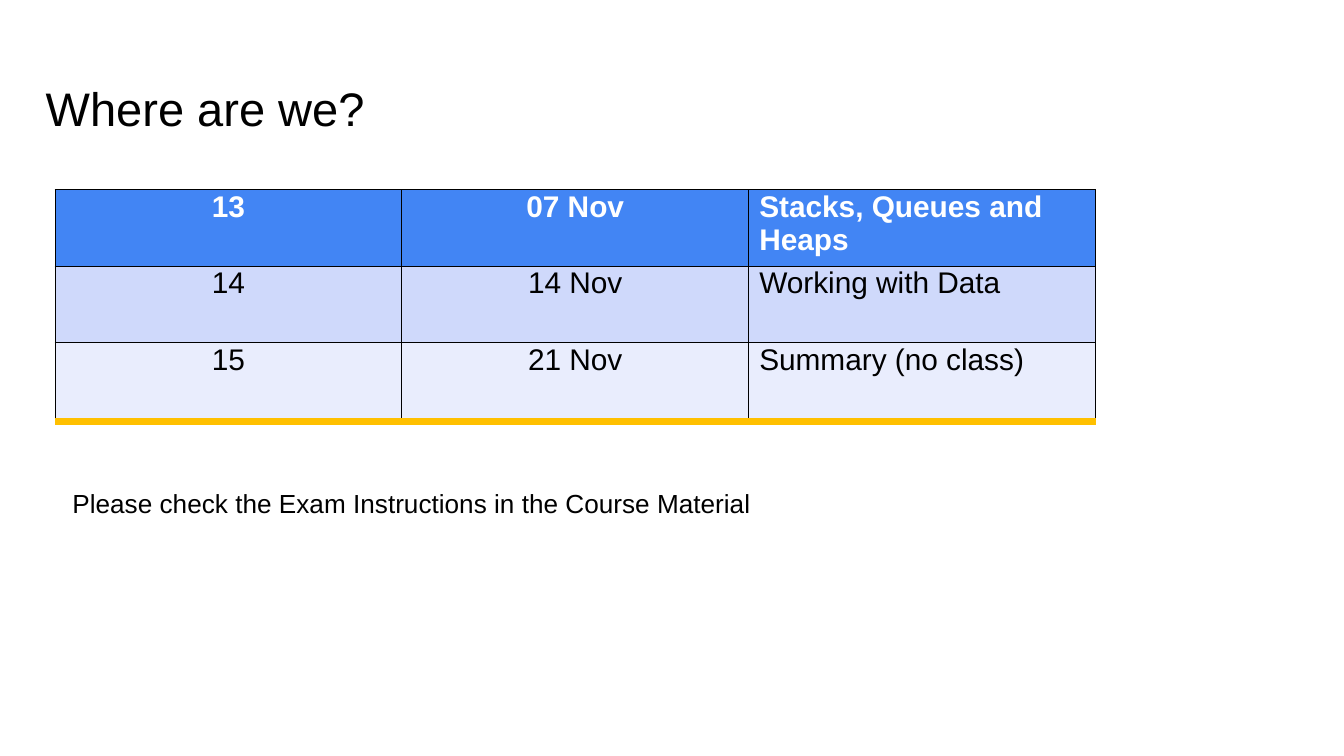
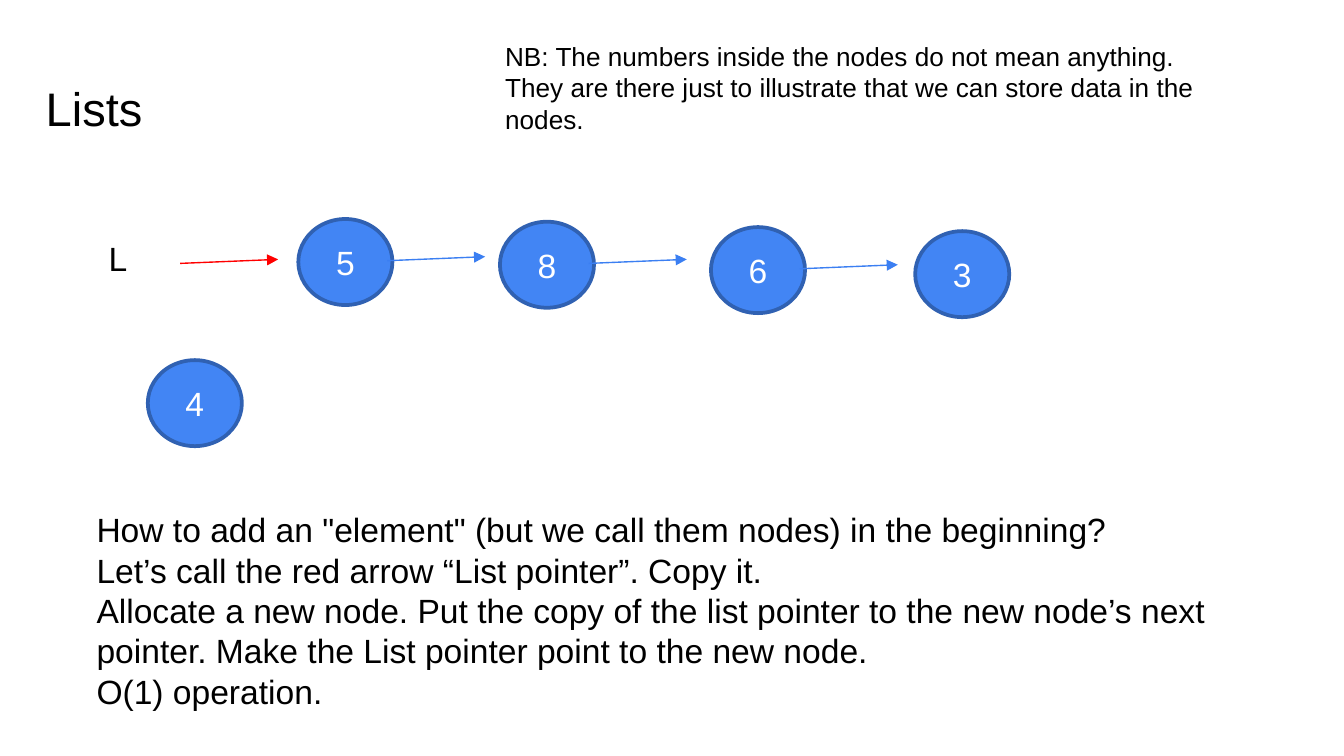
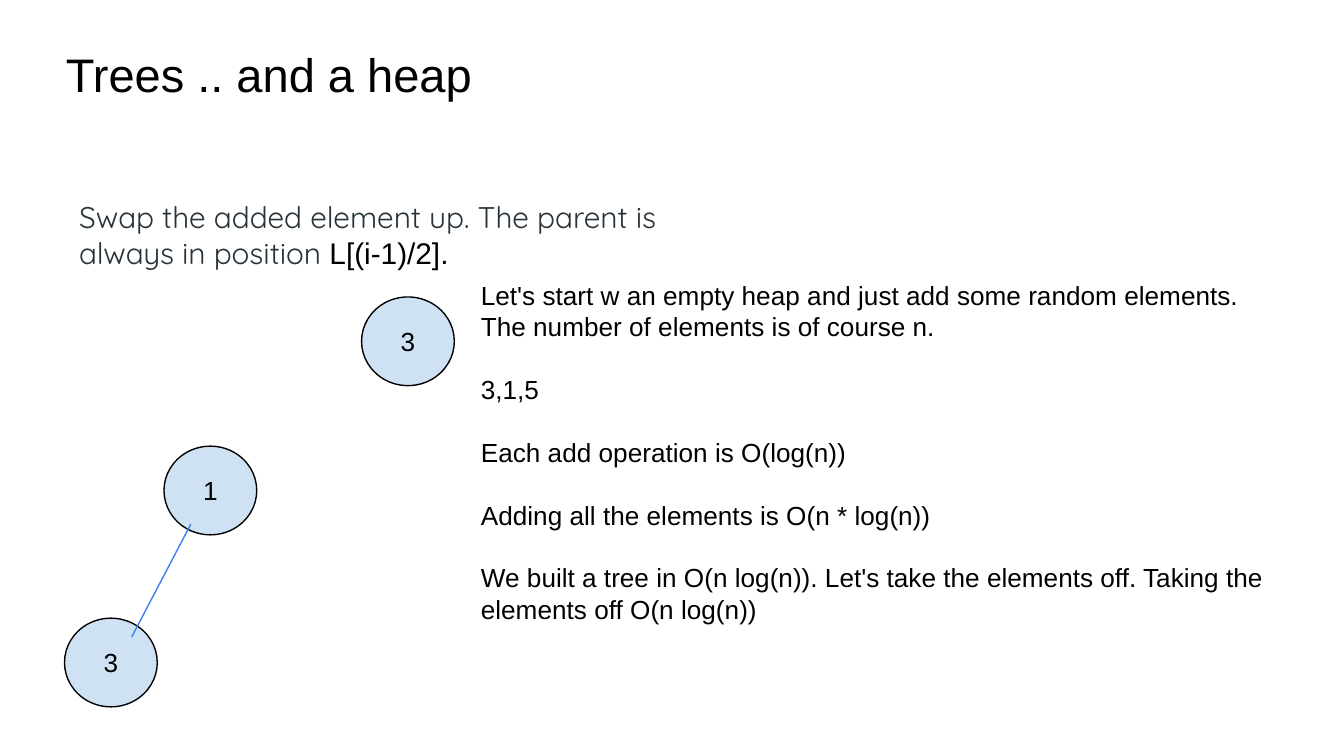
from dataclasses import dataclass

from lxml import etree
from pptx import Presentation
from pptx import util as u
from pptx.dml.color import RGBColor
from pptx.enum import shapes, text
from pptx.oxml import ns


@dataclass(frozen=True)
class Theme:
    font: str = "Arial"
    accent_font: str = "Quicksand"
    black: str = "000000"
    white: str = "FFFFFF"
    slate: str = "273239"
    blue: str = "4285F4"
    dark_blue: str = "3061B2"
    link_blue: str = "3B7FF2"
    pale_blue: str = "CFE2F3"
    red: str = "FF0000"
    gold: str = "FFC000"
    bands: tuple = ("4285F4", "CFD9FB", "E9EDFD")
    title: float = 25.2
    body: float = 18
    cell: float = 16
    note: float = 14
    leading: float = 1.2
    cell_leading: float = 1.1
    thin: float = 0.75


THEME = Theme()
LIST_NODE = dict(size=(0.7, 0.64), fill=THEME.blue, line=THEME.dark_blue,
                 weight=2, points=THEME.body, color=THEME.white)
HEAP_NODE = dict(size=(0.69, 0.66), fill=THEME.pale_blue, line=THEME.black,
                 weight=THEME.thin, points=THEME.note, color=THEME.black)


def rgb(code):
    return RGBColor.from_string(code)


def apply(target, values):
    for name, value in values.items():
        setattr(target, name, value)


class Deck:
    def __init__(self, theme):
        self.theme = theme
        self.deck = Presentation()
        apply(self.deck, dict(slide_width=u.Inches(10), slide_height=u.Inches(5.625)))
        self.page = None

    def add_page(self, title, left=0.34, top=0.49):
        self.page = self.deck.slides.add_slide(self.deck.slide_layouts[6])
        self.text((left, top, 9.32, 0.63), [title], self.theme.title, inset=(0, 0.1))

    def span(self, para, words, points, color=None, font=None, bold=False):
        span = para.add_run()
        span.text = words
        apply(span.font, dict(name=font or self.theme.font, size=u.Pt(points), bold=bold))
        span.font.color.rgb = rgb(color or self.theme.black)

    def text(self, place, paragraphs, points, inset=(0.1, 0.05), gap=0):
        """Add a text box; a paragraph is a string or a list of (words, format) pairs."""
        frame = self.page.shapes.add_textbox(*map(u.Inches, place)).text_frame
        side, edge = map(u.Inches, inset)
        apply(frame, dict(word_wrap=True, margin_left=side, margin_right=side,
                          margin_top=edge, margin_bottom=edge))
        for index, content in enumerate(paragraphs):
            para = frame.add_paragraph() if index else frame.paragraphs[0]
            apply(para, dict(line_spacing=u.Pt(points * self.theme.leading),
                             space_before=u.Pt(gap if index else 0)))
            spans = [(content, {})] if isinstance(content, str) else content
            for words, values in spans:
                self.span(para, words, points, **values)

    def node(self, label, left, top, style):
        place = map(u.Inches, (left, top, *style["size"]))
        node = self.page.shapes.add_shape(shapes.MSO_SHAPE.OVAL, *place)
        node.shadow.inherit = False
        node.fill.solid()
        node.fill.fore_color.rgb = rgb(style["fill"])
        node.line.color.rgb = rgb(style["line"])
        node.line.width = u.Pt(style["weight"])
        frame = node.text_frame
        frame.vertical_anchor = text.MSO_ANCHOR.MIDDLE
        para = frame.paragraphs[0]
        para.alignment = text.PP_ALIGN.CENTER
        self.span(para, label, style["points"], style["color"])

    def line(self, start, end, color, arrow=False):
        ends = map(u.Inches, (*start, *end))
        line = self.page.shapes.add_connector(shapes.MSO_CONNECTOR.STRAIGHT, *ends)
        line.line.color.rgb = rgb(color)
        line.line.width = u.Pt(self.theme.thin)
        if arrow:
            etree.SubElement(line.line._get_or_add_ln(), ns.qn("a:tailEnd"), type="triangle")
        etree.SubElement(line._element.spPr, ns.qn("a:effectLst"))

    def pointer(self, left, top, color):
        self.line((left, top), (left + 0.73, top - 0.03), color, arrow=True)

    def borders(self, cell, bottom):
        """Draw thin black borders, with the bottom one as a (colour, points) pair."""
        thin = (self.theme.black, 0.5)
        sides = dict(lnL=thin, lnR=thin, lnT=thin, lnB=bottom)
        properties = cell._tc.get_or_add_tcPr()
        for index, (side, (color, points)) in enumerate(sides.items()):
            border = etree.Element(ns.qn(f"a:{side}"), w=str(u.Pt(points)))
            fill = etree.SubElement(border, ns.qn("a:solidFill"))
            etree.SubElement(fill, ns.qn("a:srgbClr"), val=color)
            properties.insert(index, border)

    def table(self, left, top, column_width, heights, rows):
        columns = len(rows[0])
        place = map(u.Inches, (left, top, column_width * columns, sum(heights)))
        table = self.page.shapes.add_table(len(rows), columns, *place).table
        margins = dict(margin_left=u.Inches(0.08), margin_right=u.Inches(0.08),
                       margin_top=u.Inches(0.01), margin_bottom=u.Inches(0.05))
        for r, (height, row) in enumerate(zip(heights, rows)):
            table.rows[r].height = u.Inches(height)
            header, last = r == 0, r == len(rows) - 1
            for c, words in enumerate(row):
                cell = table.cell(r, c)
                apply(cell, margins)
                cell.fill.solid()
                cell.fill.fore_color.rgb = rgb(self.theme.bands[r])
                self.borders(cell, (self.theme.gold, 4.13) if last else (self.theme.black, 0.5))
                para = cell.text_frame.paragraphs[0]
                centred = c < columns - 1
                apply(para, dict(
                    alignment=text.PP_ALIGN.CENTER if centred else text.PP_ALIGN.LEFT,
                    line_spacing=u.Pt(self.theme.cell * self.theme.cell_leading)))
                color = self.theme.white if header else self.theme.black
                self.span(para, words, self.theme.cell, color, bold=header)


def schedule(deck):
    deck.add_page("Where are we?")
    deck.table(0.41, 1.41, 2.58, (0.57, 0.57, 0.59), [
        ("13", "07 Nov", "Stacks, Queues and Heaps"),
        ("14", "14 Nov", "Working with Data"),
        ("15", "21 Nov", "Summary (no class)"),
    ])
    deck.text((0.44, 3.58, 5.45, 0.34),
              ["Please check the Exam Instructions in the Course Material"], THEME.note)


def linked_list(deck):
    deck.add_page("Lists")
    chain = [("5", 2.22, 1.63), ("8", 3.72, 1.65), ("6", 5.29, 1.69), ("3", 6.81, 1.72)]
    for label, left, top in chain:
        deck.node(label, left, top, LIST_NODE)
    for _, left, top in chain[:-1]:
        deck.pointer(left + 0.66, top + 0.31, THEME.link_blue)
    deck.text((0.71, 1.72, 0.74, 0.4), ["L"], THEME.body)
    deck.pointer(1.34, 1.96, THEME.red)
    deck.text((0.62, 3.74, 8.93, 1.62), [
        'How to add an "element" (but we call them nodes) in the beginning?',
        "Let’s call the red arrow “List pointer”. Copy it.",
        "Allocate a new node. Put the copy of the list pointer to the new node’s next "
        "pointer. Make the List pointer point to the new node.",
        "O(1) operation.",
    ], THEME.body)
    deck.node("4", 1.1, 2.68, LIST_NODE)
    deck.text((3.66, 0.2, 5.52, 1.19), [
        "NB: The numbers inside the nodes do not mean anything. They are there just to "
        "illustrate that we can store data in the nodes.",
    ], THEME.note, inset=(0.1, 0.1))


def heap(deck):
    deck.add_page("Trees .. and a heap", left=0.49, top=0.24)
    deck.text((0.49, 1.38, 4.76, 1.14), [[
        ("Swap the added element up. The parent is always in position ",
         dict(font=THEME.accent_font, color=THEME.slate)),
        ("L[(i-1)/2].", {}),
    ]], THEME.cell, inset=(0.1, 0.1))
    deck.text((3.48, 2.03, 6.06, 3.16), [
        "Let's start w an empty heap and just add some random elements. "
        "The number of elements is of course n.",
        "3,1,5",
        "Each add operation is O(log(n))",
        "Adding all the elements is O(n * log(n))",
        "We built a tree in O(n log(n)). Let's take the elements off. "
        "Taking the elements off O(n log(n))",
    ], THEME.note, gap=THEME.note * THEME.leading)
    for label, left, top in (("3", 2.69, 2.21), ("1", 1.22, 3.32), ("3", 0.48, 4.6)):
        deck.node(label, left, top, HEAP_NODE)
    deck.line((1.42, 3.9), (0.98, 4.74), THEME.link_blue)


def main():
    deck = Deck(THEME)
    for build in (schedule, linked_list, heap):
        build(deck)
    deck.deck.save("out.pptx")


if __name__ == "__main__":
    main()
